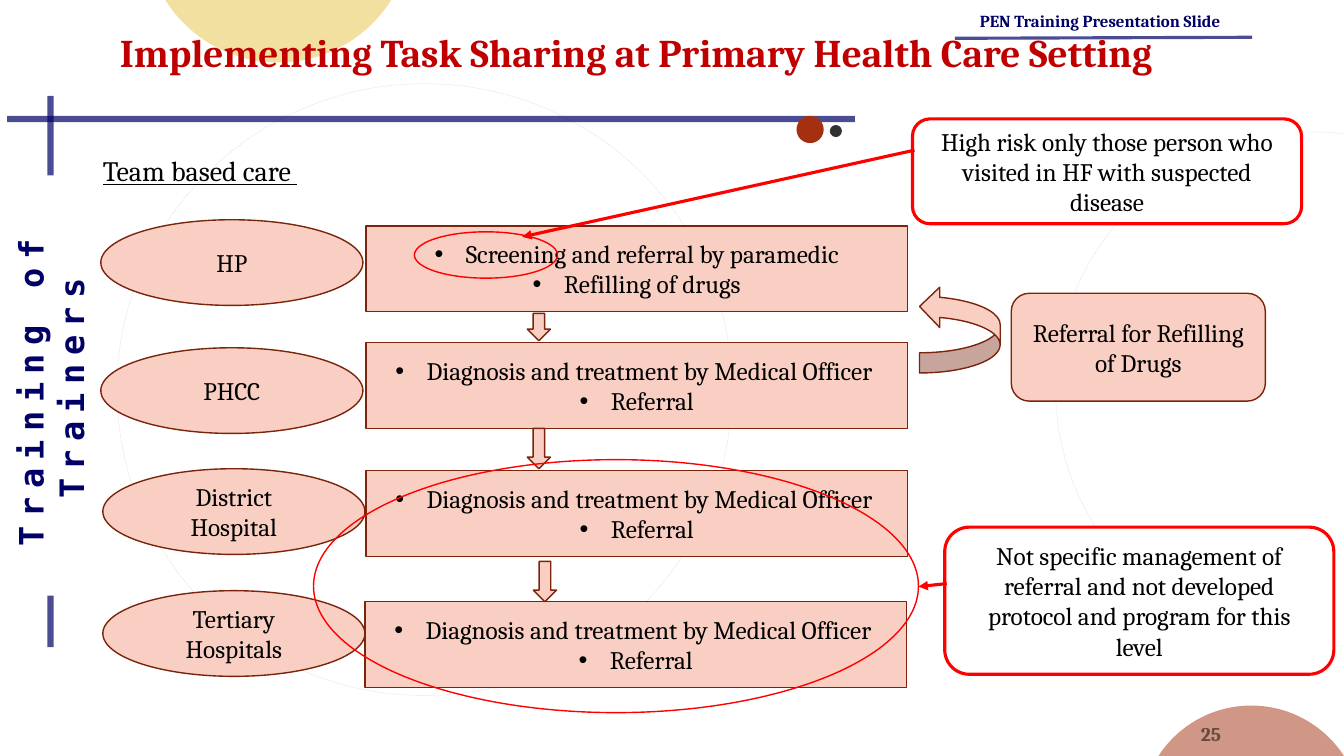
from math import asin, cos, sin

from lxml.etree import SubElement
from pptx import Presentation
from pptx.dml.color import RGBColor
from pptx.enum.dml import MSO_LINE
from pptx.enum.shapes import MSO_CONNECTOR, MSO_SHAPE
from pptx.enum.text import MSO_ANCHOR, MSO_AUTO_SIZE, PP_ALIGN
from pptx.oxml.ns import qn
from pptx.util import Inches, Pt

BLACK = RGBColor(0x00, 0x00, 0x00)
WHITE = RGBColor(0xFF, 0xFF, 0xFF)
NAVY = RGBColor(0x00, 0x00, 0x66)
CRIMSON = RGBColor(0xC0, 0x00, 0x00)
RED = RGBColor(0xFF, 0x00, 0x00)
RUST = RGBColor(0xA5, 0x30, 0x0F)
BROWN = RGBColor(0x7A, 0x24, 0x0B)
PEACH = RGBColor(0xF9, 0xCF, 0xC3)
GOLD = RGBColor(0xE5, 0xC2, 0x43)
CHARCOAL = RGBColor(0x32, 0x32, 0x32)

TREATMENT = ["Diagnosis and treatment by Medical Officer ", "Referral"]
LEVELS = [
    ("HP", 1, 2.18, 3.63, 2.24,
     ["Screening and referral by paramedic", "Refilling of drugs"]),
    ("PHCC", 1, 3.45, 3.63, 3.4, TREATMENT),
    ("District Hospital", 1.02, 4.65, 3.63, 4.67, TREATMENT),
    ("Tertiary Hospitals", 1.02, 5.86, 3.62, 5.97, TREATMENT),
]
DOWN_ARROWS = [(5.23, 3.11, 0.27), (5.23, 4.25, 0.4), (5.29, 5.57, 0.4)]
RULES = [
    (0.5, 5.91, 0.5, 6.42, 4.5),
    (0.5, 0.95, 0.5, 1.74, 4.5),
    (0.07, 1.18, 8.48, 1.18, 4.5),
    (9.47, 0.38, 12.42, 0.37, 2.25),
]


def fade(element, percent):
    for color in element.iter(qn("a:srgbClr")):
        SubElement(color, qn("a:alpha"), val=str(percent * 1000))


def paint(shape, fill=None, line=None, weight=1):
    shape.shadow.inherit = False
    if fill is None:
        shape.fill.background()
    else:
        shape.fill.solid()
        shape.fill.fore_color.rgb = fill
    if line is None:
        shape.line.fill.background()
    else:
        shape.line.color.rgb = line
        shape.line.width = Pt(weight)


def add_span(para, text, size=18, color=BLACK, bold=False, font="Cambria"):
    span = para.add_run()
    span.text = text
    span.font.name = font
    span.font.size = Pt(size)
    span.font.bold = bold
    span.font.color.rgb = color
    return span


def set_bullet(para, indent, mark=None):
    properties = para._p.get_or_add_pPr()
    properties.set("marL", str(Inches(indent)))
    properties.set("indent", str(-Inches(indent)))
    if mark is None:
        SubElement(properties, qn("a:buNone"))
    else:
        SubElement(properties, qn("a:buFont"), typeface="Arial")
        SubElement(properties, qn("a:buChar"), char=mark)


def add_figure(page, kind, place, fill=None, line=None, weight=1, lines=(), bulleted=False):
    shape = page.shapes.add_shape(kind, *map(Inches, place))
    paint(shape, fill, line, weight)
    frame = shape.text_frame
    frame.word_wrap = True
    frame.vertical_anchor = MSO_ANCHOR.MIDDLE
    for number, text in enumerate(lines):
        para = frame.add_paragraph() if number else frame.paragraphs[0]
        para.alignment = PP_ALIGN.CENTER
        if bulleted:
            set_bullet(para, 0.31, "•")
        add_span(para, text)
    return shape


def add_line(page, start_x, start_y, end_x, end_y, color, weight):
    line = page.shapes.add_connector(
        MSO_CONNECTOR.STRAIGHT, *map(Inches, (start_x, start_y, end_x, end_y)))
    line.line.color.rgb = color
    line.line.width = Pt(weight)
    SubElement(line._element.spPr, qn("a:effectLst"))
    return line


def add_pointer(page, *ends):
    pointer = add_line(page, *ends, RED, 2.25)
    SubElement(pointer.line._get_or_add_ln(), qn("a:tailEnd"), type="triangle")


def add_cap(page, middle, edge, half_width, depth, direction, color):
    radius = (half_width ** 2 + depth ** 2) / (2 * depth)
    limit = asin(half_width / radius)
    angles = [limit * (step / 30 - 1) for step in range(61)]
    points = [(Inches(middle + radius * sin(angle)),
               Inches(edge + direction * (radius * cos(angle) - radius + depth)))
              for angle in angles]
    builder = page.shapes.build_freeform(*points[0])
    builder.add_line_segments(points[1:], close=True)
    cap = builder.convert_to_shape()
    paint(cap, color)
    fade(cap._element.spPr, 50)


def add_label(page, place, text, size, color, align, inset=None, font="Cambria"):
    box = page.shapes.add_textbox(*map(Inches, place))
    frame = box.text_frame
    frame.word_wrap = True
    if inset is not None:
        frame.vertical_anchor = MSO_ANCHOR.MIDDLE
        frame.margin_left = frame.margin_right = Inches(inset)
        frame.margin_top = frame.margin_bottom = Inches(inset)
    frame.paragraphs[0].alignment = align
    span = add_span(frame.paragraphs[0], text, size, color, True, font)
    return box, span


def add_decor(page):
    for *ends, weight in RULES:
        fade(add_line(page, *ends, NAVY, weight)._element.spPr, 70)
    side, span = add_label(page, (-1.75, 3.63, 4.5, 0.45), "Training of Trainers", 24,
                           NAVY, PP_ALIGN.CENTER, 0.02, "DejaVu Sans Mono")
    side.rotation = 270
    span.font._element.set("spc", "600")
    add_label(page, (9.62, 0.06, 2.77, 0.3), "PEN Training Presentation Slide", 12,
              NAVY, PP_ALIGN.LEFT)
    for place in [(10.47, 1.31, 5.14, 5.11), (1.16, 0.83, 6.1, 6.07)]:
        ring = add_figure(page, MSO_SHAPE.OVAL, place, line=BLACK, weight=0.5)
        ring.line.dash_style = MSO_LINE.ROUND_DOT
        fade(ring._element.spPr, 10)
    add_figure(page, MSO_SHAPE.OVAL, (8.23, 1.24, 0.12, 0.12), CHARCOAL)
    add_figure(page, MSO_SHAPE.OVAL, (7.9, 1.15, 0.27, 0.27), RUST)
    add_cap(page, 12.41, 7.5, 0.92, 0.5, -1, RUST)
    add_cap(page, 2.76, 0, 1.12, 0.62, 1, GOLD)


def fill_placeholder(page, holder, place, anchor, text, size, color, bold=False):
    page.shapes._spTree.append(holder._element)
    holder.left, holder.top, holder.width, holder.height = map(Inches, place)
    frame = holder.text_frame
    frame.word_wrap = True
    frame.auto_size = MSO_AUTO_SIZE.NONE
    frame.vertical_anchor = anchor
    para = frame.paragraphs[0]
    para.alignment = PP_ALIGN.LEFT
    para.line_spacing = 0.9
    return para, add_span(para, text, size, color, bold)


def add_headings(page):
    fill_placeholder(page, page.shapes.title, (1.09, 0.14, 11.5, 0.81), MSO_ANCHOR.MIDDLE,
                     "Implementing Task Sharing at Primary Health Care Setting",
                     28, CRIMSON, True)
    para, span = fill_placeholder(page, page.placeholders[1], (0.92, 1.51, 11.5, 5.24),
                                  MSO_ANCHOR.TOP, "Team based care ", 20, BLACK)
    para.space_before = Pt(10)
    set_bullet(para, 0.25)
    span.font.underline = True
    number, span = add_label(page, (10.36, 7.06, 1.75, 0.44), "25", 14, BLACK,
                             PP_ALIGN.RIGHT, 0)
    fade(span.font._element, 50)


def add_care_levels(page):
    for name, oval_left, oval_top, box_left, box_top, tasks in LEVELS:
        add_figure(page, MSO_SHAPE.RECTANGLE, (box_left, box_top, 5.37, 0.85),
                   PEACH, BROWN, lines=tasks, bulleted=True)
        add_figure(page, MSO_SHAPE.OVAL, (oval_left, oval_top, 2.6, 0.85),
                   PEACH, BROWN, lines=[name])
    for left, top, height in DOWN_ARROWS:
        add_figure(page, MSO_SHAPE.DOWN_ARROW, (left, top, 0.23, height), PEACH, BROWN)
    refill_arrow = add_figure(page, MSO_SHAPE.CURVED_RIGHT_ARROW, (9.12, 2.84, 0.8, 0.86),
                              PEACH, BROWN)
    refill_arrow.rotation = 180
    add_figure(page, MSO_SHAPE.ROUNDED_RECTANGLE, (10.03, 2.91, 2.52, 1.07), PEACH, BROWN,
               lines=["Referral for Refilling of Drugs"])


def add_callouts(page):
    add_figure(page, MSO_SHAPE.ROUNDED_RECTANGLE, (9.05, 1.18, 3.86, 1.04), WHITE, RED, 2.25,
               ["High risk only those person who visited in HF with suspected disease"])
    add_pointer(page, 9.07, 1.49, 5.18, 2.35)
    add_figure(page, MSO_SHAPE.OVAL, (4.11, 2.3, 1.42, 0.46), line=RED)
    add_figure(page, MSO_SHAPE.OVAL, (3.11, 4.56, 6, 2.51), line=RED)
    add_figure(page, MSO_SHAPE.ROUNDED_RECTANGLE, (9.37, 5.23, 3.86, 1.46), WHITE, RED, 2.25,
               ["Not specific management of referral and not developed protocol "
                "and program for this level"])
    add_pointer(page, 9.39, 5.79, 9.11, 5.82)


def main():
    deck = Presentation()
    deck.slide_width, deck.slide_height = Inches(13.33), Inches(7.5)
    page = deck.slides.add_slide(deck.slide_layouts[1])
    add_decor(page)
    add_headings(page)
    add_care_levels(page)
    add_callouts(page)
    deck.save("out.pptx")


if __name__ == "__main__":
    main()
